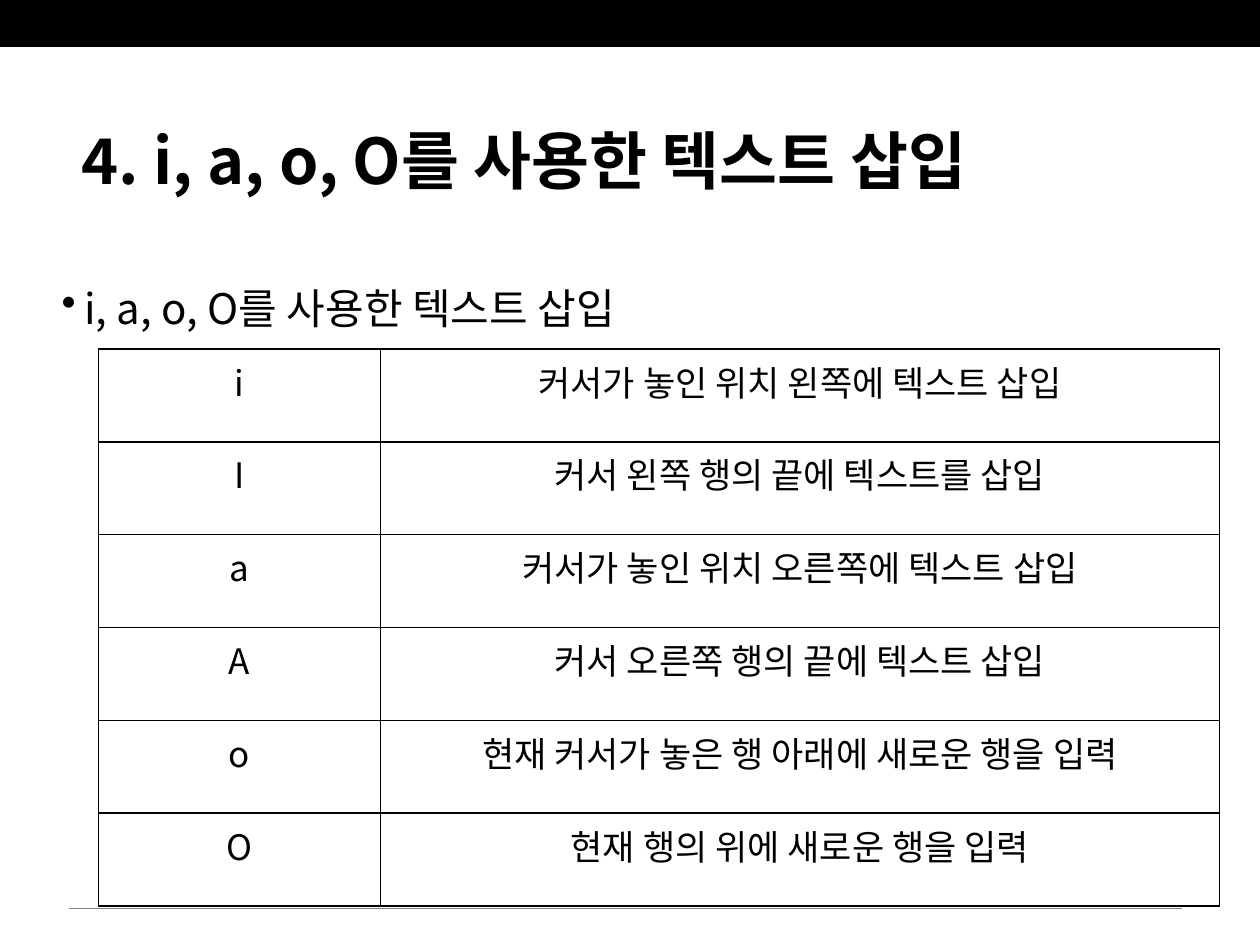
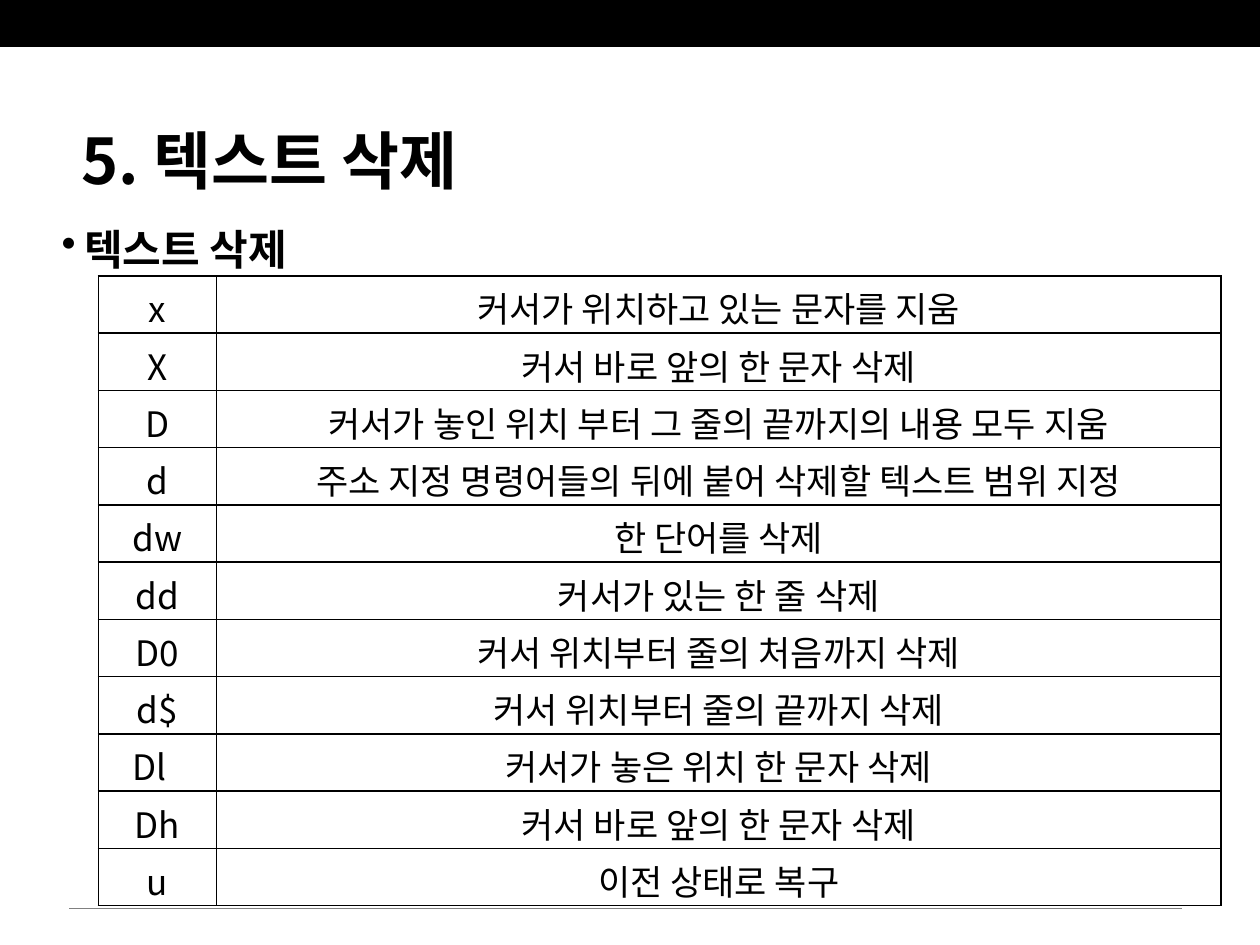
from dataclasses import dataclass

from lxml import etree
from pptx import Presentation
from pptx.dml.color import RGBColor
from pptx.enum.shapes import MSO_CONNECTOR, MSO_SHAPE
from pptx.enum.text import MSO_ANCHOR, PP_ALIGN
from pptx.oxml.ns import qn
from pptx.util import Inches, Pt

LEFT, CENTER = PP_ALIGN.LEFT, PP_ALIGN.CENTER
TOP, MIDDLE = MSO_ANCHOR.TOP, MSO_ANCHOR.MIDDLE
RECTANGLE = MSO_SHAPE.RECTANGLE
STRAIGHT = MSO_CONNECTOR.STRAIGHT

FONT = "Noto Sans CJK KR"
COLORS = {"ink": "000000", "rule": "808080"}
BULLET_INDENT = Inches(0.18)
TABLE_LEFT = 0.78
TABLE_BOTTOM = 7.19
CELL_MARGIN = 0.1


@dataclass(frozen=True)
class Command:
    key: str
    meaning: str
    key_shift: float = 0  # extra right margin that moves the key left


@dataclass(frozen=True)
class CommandSlide:
    title: str
    topic: str
    topic_top: float
    topic_bold: bool
    table_top: float
    columns: tuple[float, float]
    commands: tuple[Command, ...]


SLIDES = (
    CommandSlide(
        "4. i, a, o, O를 사용한 텍스트 삽입", "i, a, o, O를 사용한 텍스트 삽입",
        topic_top=2.03, topic_bold=False, table_top=2.77, columns=(2.24, 6.66),
        commands=(
            Command("i", "커서가 놓인 위치 왼쪽에 텍스트 삽입"),
            Command("I", "커서 왼쪽 행의 끝에 텍스트를 삽입"),
            Command("a", "커서가 놓인 위치 오른쪽에 텍스트 삽입"),
            Command("A", "커서 오른쪽 행의 끝에 텍스트 삽입"),
            Command("o", "현재 커서가 놓은 행 아래에 새로운 행을 입력"),
            Command("O", "현재 행의 위에 새로운 행을 입력"),
        ),
    ),
    CommandSlide(
        "5. 텍스트 삭제", "텍스트 삭제",
        topic_top=1.56, topic_bold=True, table_top=2.19, columns=(0.94, 7.97),
        commands=(
            Command("x", "커서가 위치하고 있는 문자를 지움"),
            Command("X", "커서 바로 앞의 한 문자 삭제"),
            Command("D", "커서가 놓인 위치 부터 그 줄의 끝까지의 내용 모두 지움"),
            Command("d", "주소 지정 명령어들의 뒤에 붙어 삭제할 텍스트 범위 지정"),
            Command("dw", "한 단어를 삭제"),
            Command("dd", "커서가 있는 한 줄 삭제"),
            Command("D0", "커서 위치부터 줄의 처음까지 삭제"),
            Command("d$", "커서 위치부터 줄의 끝까지 삭제"),
            Command("Dl", "커서가 놓은 위치 한 문자 삭제", key_shift=0.13),
            Command("Dh", "커서 바로 앞의 한 문자 삭제"),
            Command("u", "이전 상태로 복구"),
        ),
    ),
)


def rgb(name: str) -> RGBColor:
    return RGBColor.from_string(COLORS[name])


def write_text(frame, text: str, *, size: float, bold: bool = False,
               align=LEFT, spacing: float = 1, bullet: str = "") -> None:
    """Fill the first paragraph of a text frame."""
    frame.word_wrap = True
    paragraph = frame.paragraphs[0]
    paragraph.alignment = align
    paragraph.line_spacing = spacing
    if bullet:
        properties = paragraph._p.get_or_add_pPr()
        properties.set("marL", str(BULLET_INDENT))
        properties.set("indent", str(-BULLET_INDENT))
        etree.SubElement(properties, qn("a:buChar"), char=bullet)
    run = paragraph.add_run()
    run.text = text
    run.font.size = Pt(size)
    run.font.bold = bold
    run.font.name = FONT
    run.font.color.rgb = rgb("ink")
    # Hangul takes its face from the East Asian font
    etree.SubElement(run._r.get_or_add_rPr(), qn("a:ea"), typeface=FONT)


def add_text_box(slide, left: float, top: float, width: float, height: float):
    box = slide.shapes.add_textbox(Inches(left), Inches(top), Inches(width), Inches(height))
    box.text_frame.vertical_anchor = MIDDLE
    return box.text_frame


def add_frame(slide) -> None:
    """Draw the black band at the top and the rule at the bottom."""
    band = slide.shapes.add_shape(RECTANGLE, 0, 0, Inches(10), Inches(0.36))
    band.shadow.inherit = False
    band.fill.solid()
    band.fill.fore_color.rgb = rgb("ink")
    band.line.color.rgb = rgb("ink")
    band.line.width = Pt(2)

    rule = slide.shapes.add_connector(
        STRAIGHT, Inches(0.55), Inches(7.21), Inches(9.38), Inches(7.21))
    rule.line.color.rgb = rgb("rule")
    rule.line.width = Pt(0.75)
    etree.SubElement(rule._element.spPr, qn("a:effectLst"))


def add_borders(cell) -> None:
    properties = cell._tc.get_or_add_tcPr()
    for position, side in enumerate(("a:lnL", "a:lnR", "a:lnT", "a:lnB")):
        border = etree.Element(qn(side), w=str(Pt(1)))
        fill = etree.SubElement(border, qn("a:solidFill"))
        etree.SubElement(fill, qn("a:srgbClr"), val=COLORS["ink"])
        properties.insert(position, border)


def add_command_table(slide, content: CommandSlide) -> None:
    height = Inches(TABLE_BOTTOM - content.table_top)
    row_count = len(content.commands)
    table = slide.shapes.add_table(
        row_count, 2, Inches(TABLE_LEFT), Inches(content.table_top),
        Inches(sum(content.columns)), height).table
    table.first_row = table.horz_banding = False
    for column, width in zip(table.columns, content.columns):
        column.width = Inches(width)
    for row, command in zip(table.rows, content.commands):
        row.height = height // row_count
        for cell, text in zip(row.cells, (command.key, command.meaning)):
            cell.fill.background()
            cell.vertical_anchor = TOP
            cell.margin_bottom = 0
            write_text(cell.text_frame, text, size=20, align=CENTER)
            add_borders(cell)
        row.cells[0].margin_right = Inches(CELL_MARGIN + command.key_shift)


def add_command_slide(deck, content: CommandSlide) -> None:
    slide = deck.slides.add_slide(deck.slide_layouts[6])
    add_frame(slide)

    # Title
    title = add_text_box(slide, 0.55, 0.94, 8.2, 0.71)
    title.margin_top, title.margin_bottom = 0, Inches(0.06)
    write_text(title, content.title, size=36, bold=True)

    # Topic line above the table
    topic = add_text_box(slide, 0.39, content.topic_top, 9.34, 0.63)
    write_text(topic, content.topic, size=24, bold=content.topic_bold,
               spacing=1.5, bullet="•")

    add_command_table(slide, content)


def main() -> None:
    deck = Presentation()
    deck.slide_width, deck.slide_height = Inches(10), Inches(7.5)
    for content in SLIDES:
        add_command_slide(deck, content)
    deck.save("out.pptx")


if __name__ == "__main__":
    main()
